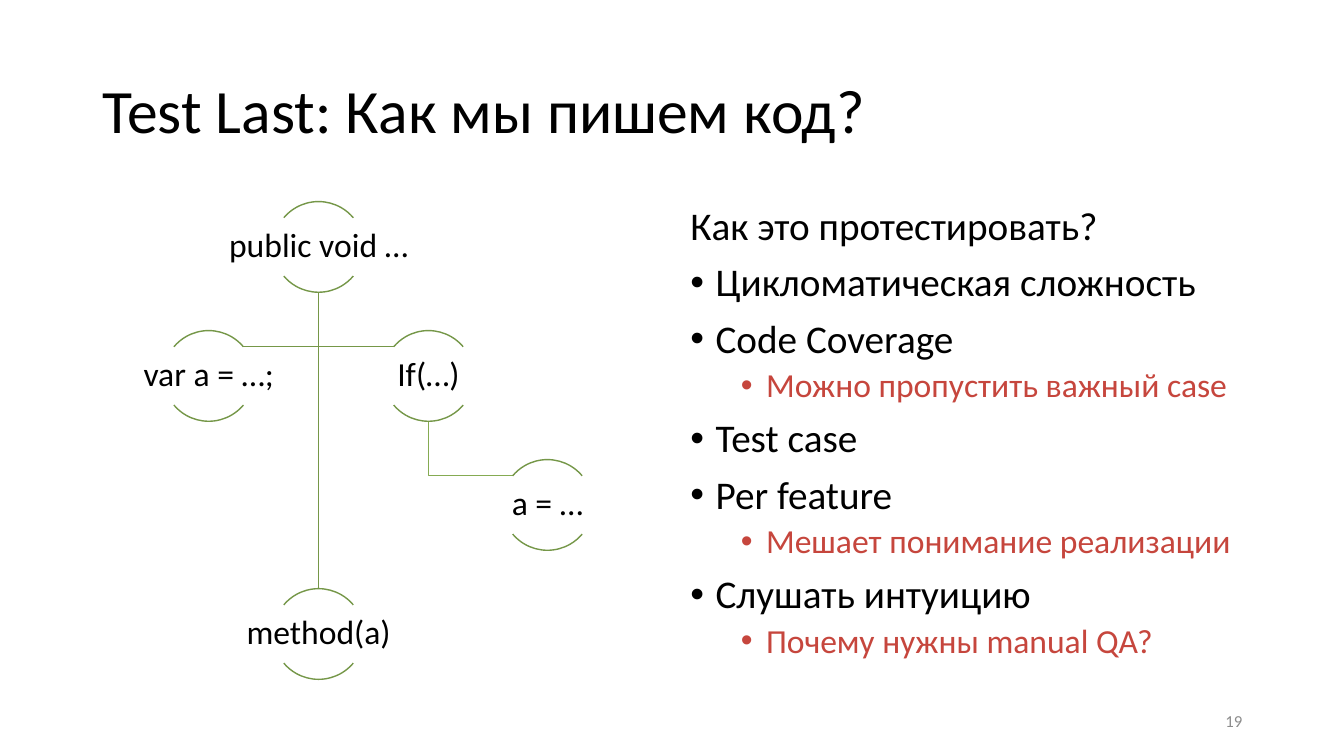
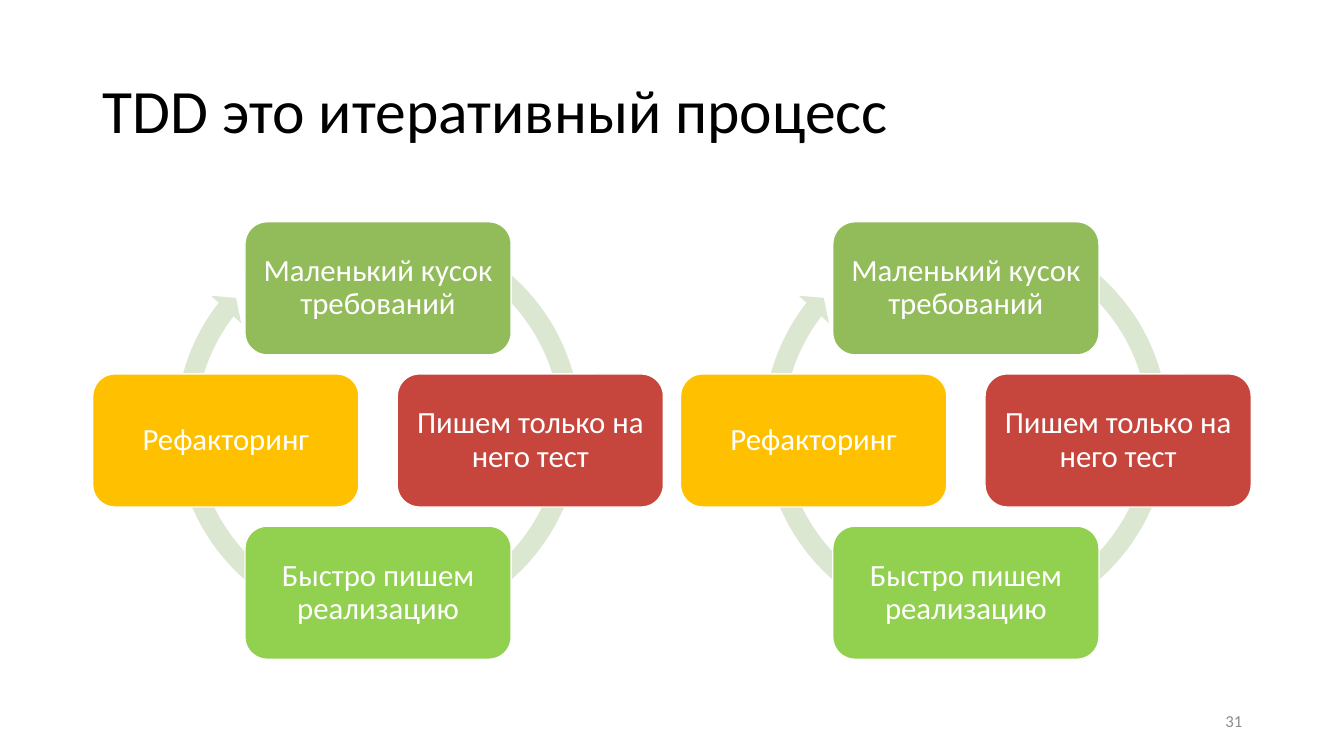
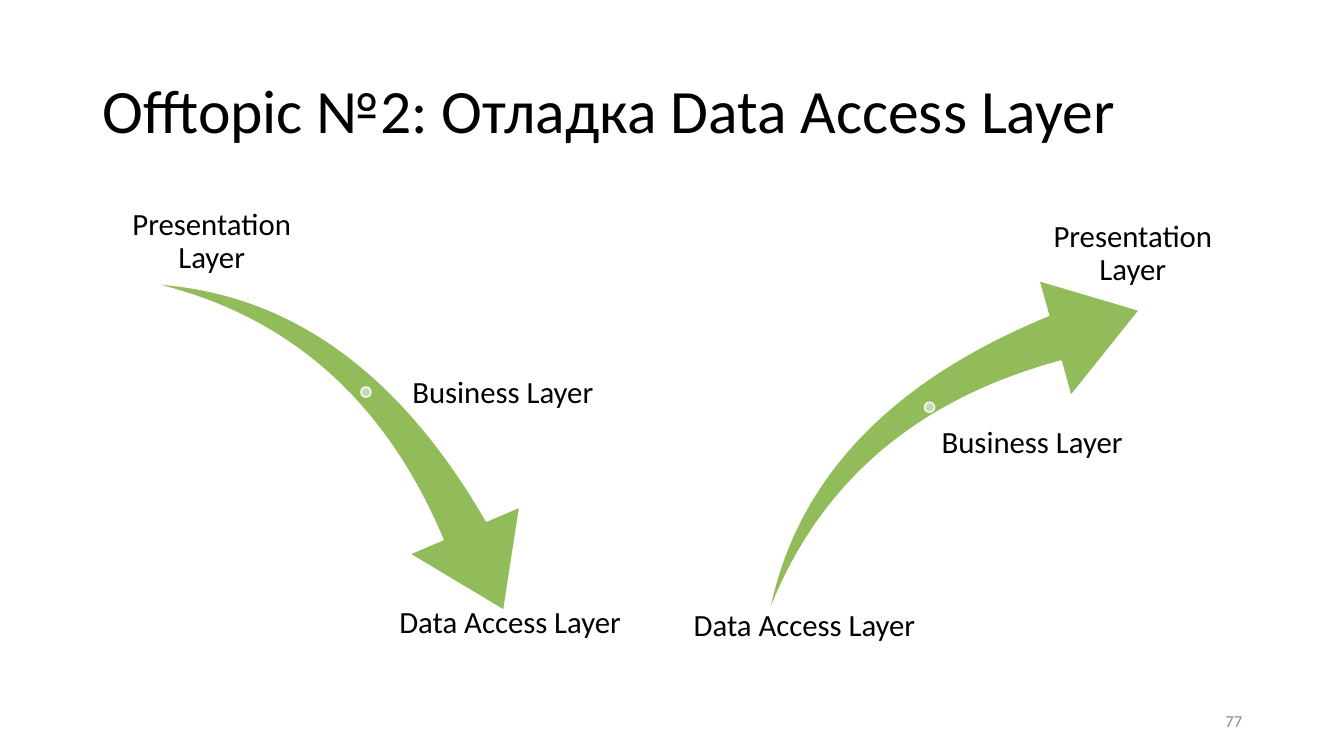
from lxml import etree
from pptx import Presentation
from pptx import util as u
from pptx.dml.color import RGBColor
from pptx.enum import shapes, text
from pptx.oxml import ns

# Palette
BLACK = RGBColor(0x00, 0x00, 0x00)
WHITE = RGBColor(0xFF, 0xFF, 0xFF)
GREY = RGBColor(0x8C, 0x8C, 0x8C)
RED = RGBColor(0xC6, 0x46, 0x3D)
GREEN = RGBColor(0x92, 0xBC, 0x5A)
BRIGHT_GREEN = RGBColor(0x92, 0xD0, 0x50)
AMBER = RGBColor(0xFF, 0xC0, 0x00)
PALE_GREEN = RGBColor(0xDC, 0xE7, 0xD2)
DOT_GREEN = RGBColor(0xC7, 0xDA, 0xB5)
BRANCH = RGBColor(0x75, 0x97, 0x48)
LEAF_BRANCH = RGBColor(0x85, 0xAB, 0x52)

FONT = "Calibri"
LEFT, CENTER, RIGHT = text.PP_ALIGN.LEFT, text.PP_ALIGN.CENTER, text.PP_ALIGN.RIGHT
TOP, MIDDLE, BOTTOM = text.MSO_ANCHOR.TOP, text.MSO_ANCHOR.MIDDLE, text.MSO_ANCHOR.BOTTOM
KIND = shapes.MSO_SHAPE

# Call tree: node size, row spacing and label size
NODE, ROW_TOP, ROW_PITCH = 0.9, 2, 1.28
ARC_INSET_X, ARC_INSET_Y = 0.34, 0.16
LABEL_WIDTH, LABEL_HEIGHT = 1.84, 0.58

# Body levels: left indent, space before, size, colour
BODY_LEVELS = [(0.25, 10, 28, BLACK), (0.75, 5, 24, RED)]


def set_all(target, values):
    for name, value in values.items():
        setattr(target, name, value)


def style_font(font, size, color):
    set_all(font, {"name": FONT, "size": u.Pt(size)})
    font.color.rgb = color


def write(shape, words, size, color=BLACK, align=CENTER, anchor=MIDDLE, inset=None, spacing=0.9):
    frame = shape.text_frame
    set_all(frame, {"word_wrap": True, "vertical_anchor": anchor})
    if inset is not None:
        sides = ("left", "right", "top", "bottom")
        set_all(frame, {f"margin_{side}": u.Inches(inset) for side in sides})
    paragraph = frame.paragraphs[0]
    set_all(paragraph, {"text": words, "alignment": align, "line_spacing": spacing})
    style_font(paragraph.font, size, color)


def label(slide, box, words, size, **options):
    write(slide.shapes.add_textbox(*map(u.Inches, box)), words, size, **options)


def outline(shape, color):
    shape.line.color.rgb = color
    shape.line.width = u.Pt(1)


def preset(slide, kind, box, fill=None, line=None, adjust=(), rotation=0):
    shape = slide.shapes.add_shape(kind, *map(u.Inches, box))
    shape.shadow.inherit = False
    shape.rotation = rotation
    for index, value in enumerate(adjust):
        shape.adjustments[index] = value
    if fill is None:
        shape.fill.background()
    else:
        shape.fill.solid()
        shape.fill.fore_color.rgb = fill
    if line is None:
        shape.line.fill.background()
    else:
        outline(shape, line)
    return shape


def new_slide(deck, title, number):
    slide = deck.slides.add_slide(deck.slide_layouts[6])
    label(slide, (0.92, 0.4, 11.5, 1.45), title, 44, align=LEFT)
    label(slide, (9.42, 6.95, 3, 0.4), number, 12, color=GREY, align=RIGHT, spacing=1)
    return slide


# Call tree
def row_top(row):
    return ROW_TOP + row * ROW_PITCH


def node(slide, center, row, words):
    top = row_top(row)
    for span in ((132, 192), (24, 84)):
        preset(slide, KIND.ARC, (center - NODE / 2, top, NODE, NODE), line=BRANCH, adjust=span)
    box = (center - LABEL_WIDTH / 2, top + ARC_INSET_Y, LABEL_WIDTH, LABEL_HEIGHT)
    label(slide, box, words, 24, inset=0)


def branch(slide, parent, parent_row, child, color):
    start = row_top(parent_row) + NODE
    end = row_top(parent_row + 1) + ARC_INSET_Y
    child_edge = child - ARC_INSET_X if child > parent else child + ARC_INSET_X
    builder = slide.shapes.build_freeform(u.Inches(parent), u.Inches(start))
    corners = [(parent, end), (child_edge, end)]
    builder.add_line_segments([tuple(map(u.Inches, c)) for c in corners], close=False)
    elbow = builder.convert_to_shape()
    elbow.shadow.inherit = False
    elbow.fill.background()
    outline(elbow, color)


def trunk(slide, x, start, end):
    line = slide.shapes.add_connector(
        shapes.MSO_CONNECTOR.STRAIGHT, *map(u.Inches, (x, start, x, end)))
    outline(line, BRANCH)
    etree.SubElement(line._element.spPr, ns.qn("a:effectLst"))


def call_tree(slide):
    root, declaration, condition, assignment = 3.16, 2.07, 4.25, 5.43
    branch(slide, condition, 1, assignment, LEAF_BRANCH)
    for child in (condition, declaration):
        branch(slide, root, 0, child, BRANCH)
    trunk(slide, root, row_top(0) + NODE, row_top(3))
    for center, row, words in [
        (root, 0, "public void …"),
        (root, 3, "method(a)"),
        (declaration, 1, "var a = …;"),
        (condition, 1, "If(…)"),
        (assignment, 2, "a = …"),
    ]:
        node(slide, center, row, words)


def bullet_list(slide, heading, items):
    box = slide.shapes.add_textbox(*map(u.Inches, (6.75, 2, 5.67, 4.76)))
    write(box, heading, 28, align=LEFT, anchor=TOP)
    for level, words in items:
        indent, before, size, color = BODY_LEVELS[level]
        paragraph = box.text_frame.add_paragraph()
        properties = paragraph._p.get_or_add_pPr()
        properties.set("marL", str(u.Inches(indent)))
        properties.set("indent", str(u.Inches(-0.25)))
        bullet_font = etree.SubElement(properties, ns.qn("a:buFont"))
        bullet_font.set("typeface", "Arial")
        etree.SubElement(properties, ns.qn("a:buChar")).set("char", "•")
        set_all(paragraph, {"text": words, "level": level, "line_spacing": 0.9,
                            "space_before": u.Pt(before)})
        style_font(paragraph.font, size, color)


# TDD cycle
def cycle(slide, left):
    width, height, step = 2.64, 1.32, 1.51
    preset(slide, KIND.CIRCULAR_ARROW, (left + 0.72, 2.13, 4.22, 4.22), fill=PALE_GREEN,
           adjust=(0.047, 2.729, 130.675, 178.72, 0.048))
    for column, row, fill, words in [
        (1, 0, GREEN, "Маленький кусок требований"),
        (2, 1, RED, "Пишем только на него тест"),
        (1, 2, BRIGHT_GREEN, "Быстро пишем реализацию"),
        (0, 1, AMBER, "Рефакторинг"),
    ]:
        box = (left + column * step, 2.2 + row * step, width, height)
        stage = preset(slide, KIND.ROUNDED_RECTANGLE, box, fill=fill, line=WHITE)
        write(stage, words, 22, color=WHITE, inset=0.09)


# Path through the layers
def layer_path(slide, arrow_left, rotation, dot, labels):
    preset(slide, KIND.SWOOSH_ARROW, (arrow_left, 2.94, 4.11, 2.86), fill=GREEN, line=WHITE,
           adjust=(0.163, 0.314), rotation=rotation)
    preset(slide, KIND.OVAL, (*dot, 0.1, 0.1), fill=DOT_GREEN, line=WHITE)
    for (left, top, width), words, align, anchor in labels:
        label(slide, (left, top, width, 0.76), words, 22, align=align, anchor=anchor, inset=0.03)


def main():
    deck = Presentation()
    set_all(deck, {"slide_width": u.Inches(13.33), "slide_height": u.Inches(7.5)})

    test_last = new_slide(deck, "Test Last: Как мы пишем код?", "19")
    call_tree(test_last)
    bullet_list(test_last, "Как это протестировать?", [
        (0, "Цикломатическая сложность"),
        (0, "Code Coverage"),
        (1, "Можно пропустить важный case"),
        (0, "Test case"),
        (0, "Per feature"),
        (1, "Мешает понимание реализации"),
        (0, "Слушать интуицию"),
        (1, "Почему нужны manual QA?"),
    ])

    tdd = new_slide(deck, "TDD это итеративный процесс", "31")
    for left in (0.92, 6.75):
        cycle(tdd, left)

    debugging = new_slide(deck, "Offtopic №2: Отладка Data Access Layer", "77")
    layer_path(debugging, 1.41, 73.3, (3.58, 3.84), [
        ((1.13, 2, 1.94), "Presentation Layer", CENTER, BOTTOM),
        ((4.06, 3.52, 2.3), "Business Layer", LEFT, MIDDLE),
        ((3.75, 5.99, 2.62), "Data Access Layer", CENTER, TOP),
    ])
    layer_path(debugging, 7.37, 351, (9.17, 3.99), [
        ((6.75, 5.65, 2.46), "Data Access Layer", CENTER, BOTTOM),
        ((9.31, 4.02, 2.3), "Business Layer", LEFT, MIDDLE),
        ((10.29, 2.16, 1.89), "Presentation Layer", CENTER, TOP),
    ])

    deck.save("out.pptx")


if __name__ == "__main__":
    main()
